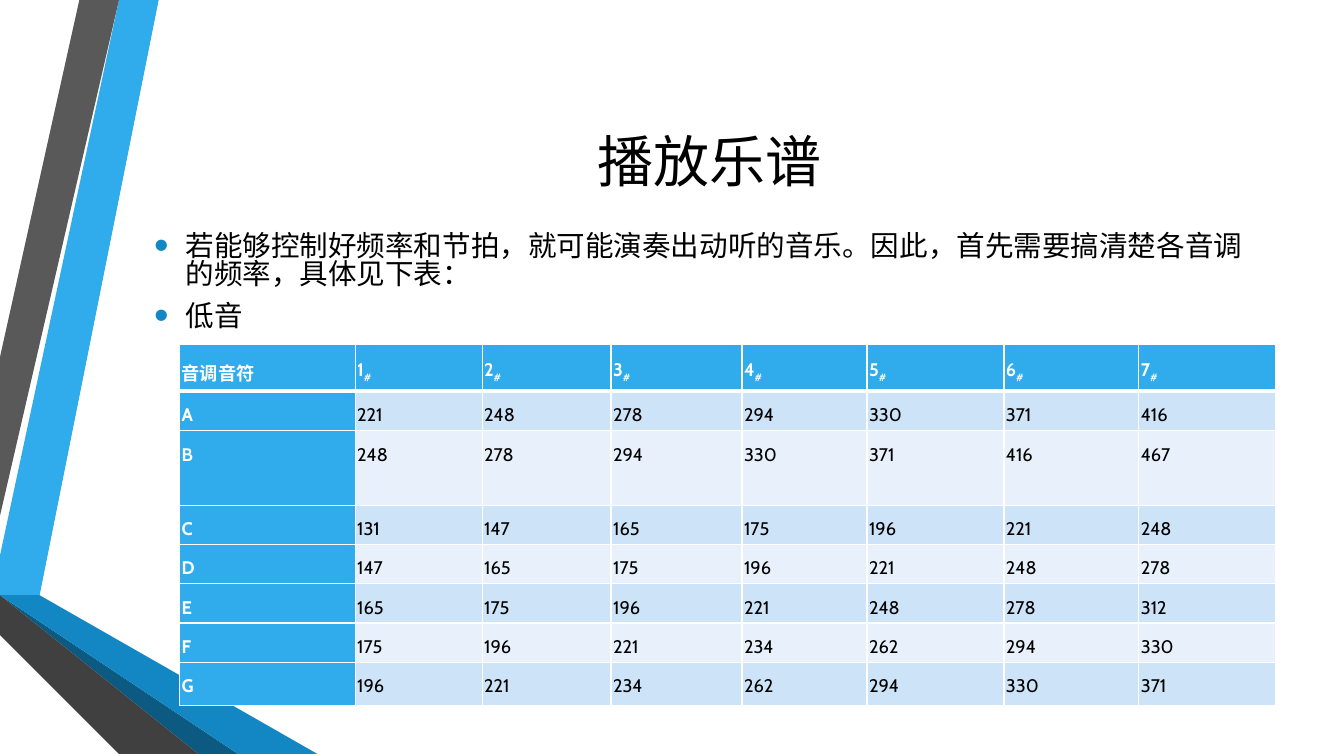
from lxml.etree import SubElement as Sub
from pptx import Presentation
from pptx.dml.color import RGBColor as RGB
from pptx.enum.text import MSO_ANCHOR as Anchor, MSO_AUTO_SIZE as Fit, PP_ALIGN as Align
from pptx.oxml.ns import qn
from pptx.util import Cm, Pt

HUES = {
    "sky": "30ACEC", "deep": "1287C3", "navy": "0C5A82",
    "grey": "595959", "coal": "404040", "dark": "262626",
    "black": "000000", "white": "FFFFFF",
    "odd": "CDE3F8", "even": "E8F1FB",
}
FONT = "Cabin"
WIDE, HIGH = 33.87, 19.05

# Ribbons at the left edge: colour and corners in cm, from back to front
BANDS = [
    ("sky", [(0, 13.82), (0, 14.6), (0.74, 14.7), (3.96, 0), (3.02, 0)]),
    ("grey", [(2.82, 0), (1.88, 0), (0, 8.53), (0, 12.85)]),
    ("dark", [(0, 15.72), (0, 15.77), (3.18, HIGH), (3.35, HIGH)]),
    ("navy", [(0, 14.7), (0, 14.73), (5.31, HIGH), (5.51, HIGH)]),
    ("deep", [(0, 14.7), (5.51, HIGH), (7.9, HIGH), (0.74, 14.7), (0, 14.6)]),
    ("coal", [(0, 15.72), (3.35, HIGH), (5.11, HIGH), (0, 14.88)]),
]

TITLE = "播放乐谱"
POINTS = [
    "若能够控制好频率和节拍，就可能演奏出动听的音乐。因此，首先需要搞清楚各音调的频率，具体见下表：",
    "低音",
]

# Frequencies of the low notes 1 to 7 in each key
CORNER = "音调音符"
TONES = {
    "A": [221, 248, 278, 294, 330, 371, 416],
    "B": [248, 278, 294, 330, 371, 416, 467],
    "C": [131, 147, 165, 175, 196, 221, 248],
    "D": [147, 165, 175, 196, 221, 248, 278],
    "E": [165, 175, 196, 221, 248, 278, 312],
    "F": [175, 196, 221, 234, 262, 294, 330],
    "G": [196, 221, 234, 262, 294, 330, 371],
}
COLS = [4.42, 3.2, 3.25, 3.3, 3.15, 3.45, 3.4, 3.45]
ROWS = [1.17, 0.99, 1.88, 0.99, 0.99, 0.99, 0.99, 1.09]


def hue(name):
    return RGB.from_string(HUES[name])


def style(para, size, name, bold=False):
    font = para.font
    font.name, font.size, font.bold = FONT, Pt(size), bold
    font.color.rgb = hue(name)


def place(shape, box):
    shape.left, shape.top, shape.width, shape.height = map(Cm, box)


def add_bands(slide, left, top):
    for name, spots in BANDS:
        pen = slide.shapes.build_freeform(*spots[0], scale=Cm(1))
        pen.add_line_segments(spots[1:], close=True)
        band = pen.convert_to_shape(Cm(left), Cm(top))
        band.fill.solid()
        band.fill.fore_color.rgb = hue(name)
        band.line.fill.background()
        band.shadow.inherit = False


def set_title(slide, box):
    title = slide.shapes.title
    place(title, box)
    frame = title.text_frame
    frame.text = TITLE
    frame.vertical_anchor = Anchor.MIDDLE
    frame.auto_size = Fit.NONE
    para = frame.paragraphs[0]
    para.alignment = Align.CENTER
    style(para, 40, "black")


def add_dot(para):
    props = para._p.get_or_add_pPr()
    props.set("marL", str(Cm(0.79)))
    props.set("indent", str(-Cm(0.79)))
    Sub(Sub(props, qn("a:buClr")), qn("a:srgbClr"), val=HUES["deep"])
    Sub(props, qn("a:buSzPct"), val="145000")
    Sub(props, qn("a:buFont"), typeface="Arial")
    Sub(props, qn("a:buChar"), char="•")


def set_points(slide, box):
    body = slide.placeholders[1]
    place(body, box)
    frame = body.text_frame
    frame.text = "\n".join(POINTS)
    frame.vertical_anchor = Anchor.MIDDLE
    frame.auto_size = Fit.NONE
    for para in frame.paragraphs:
        para.line_spacing = 0.82
        para.space_before, para.space_after = Pt(4), Pt(6)
        style(para, 20.4, "black")
        add_dot(para)


def add_edges(cell, base):
    props = cell._tc.get_or_add_tcPr()
    for side, width in zip("LRTB", (1, 1, 1, base)):
        edge = Sub(props, qn(f"a:ln{side}"), w=str(Pt(width)))
        Sub(Sub(edge, qn("a:solidFill")), qn("a:srgbClr"), val=HUES["white"])


def fill_cell(cell, text, row, col):
    head = row == 0 or col == 0
    add_edges(cell, 3 if row == 0 else 1)
    cell.fill.solid()
    cell.fill.fore_color.rgb = hue("sky" if head else "odd" if row % 2 else "even")
    cell.margin_left = cell.margin_right = Cm(0.05)
    cell.margin_top = cell.margin_bottom = Cm(0.05)
    para = cell.text_frame.paragraphs[0]
    para.line_spacing = 1.5
    style(para, 13, "white" if head else "black", head)
    para.add_run().text = text
    if row == 0 and col:
        low = para.add_run()
        low.text = "#"
        low._r.get_or_add_rPr().set("baseline", "-25000")
    else:
        para.space_before = para.space_after = Pt(7.5)


def add_tones(slide, left, top):
    data = [[CORNER, *range(1, 8)]]
    data += [[key, *tones] for key, tones in TONES.items()]
    box = map(Cm, (left, top, sum(COLS), sum(ROWS)))
    table = slide.shapes.add_table(len(ROWS), len(COLS), *box).table
    for col, width in zip(table.columns, COLS):
        col.width = Cm(width)
    for row, height in zip(table.rows, ROWS):
        row.height = Cm(height)
    for r, line in enumerate(data):
        for c, value in enumerate(line):
            fill_cell(table.cell(r, c), str(value), r, c)


def main():
    deck = Presentation()
    deck.slide_width, deck.slide_height = Cm(WIDE), Cm(HIGH)
    slide = deck.slides.add_slide(deck.slide_layouts[1])
    add_bands(slide, 0, 0)
    set_title(slide, (3.63, 1.27, 28.52, 5.51))
    set_points(slide, (3.63, 5.72, 28.52, 2.84))
    add_tones(slide, 4.53, 8.69)
    deck.save("out.pptx")


if __name__ == "__main__":
    main()
